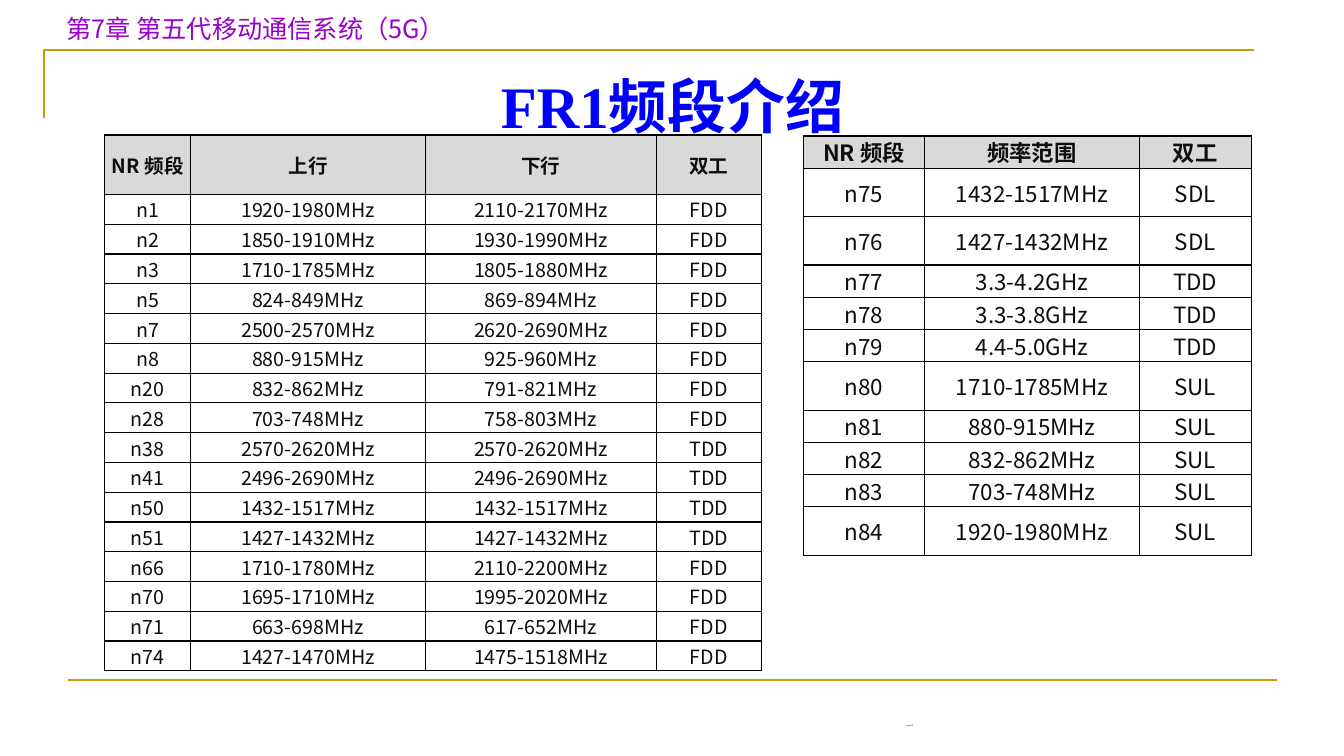
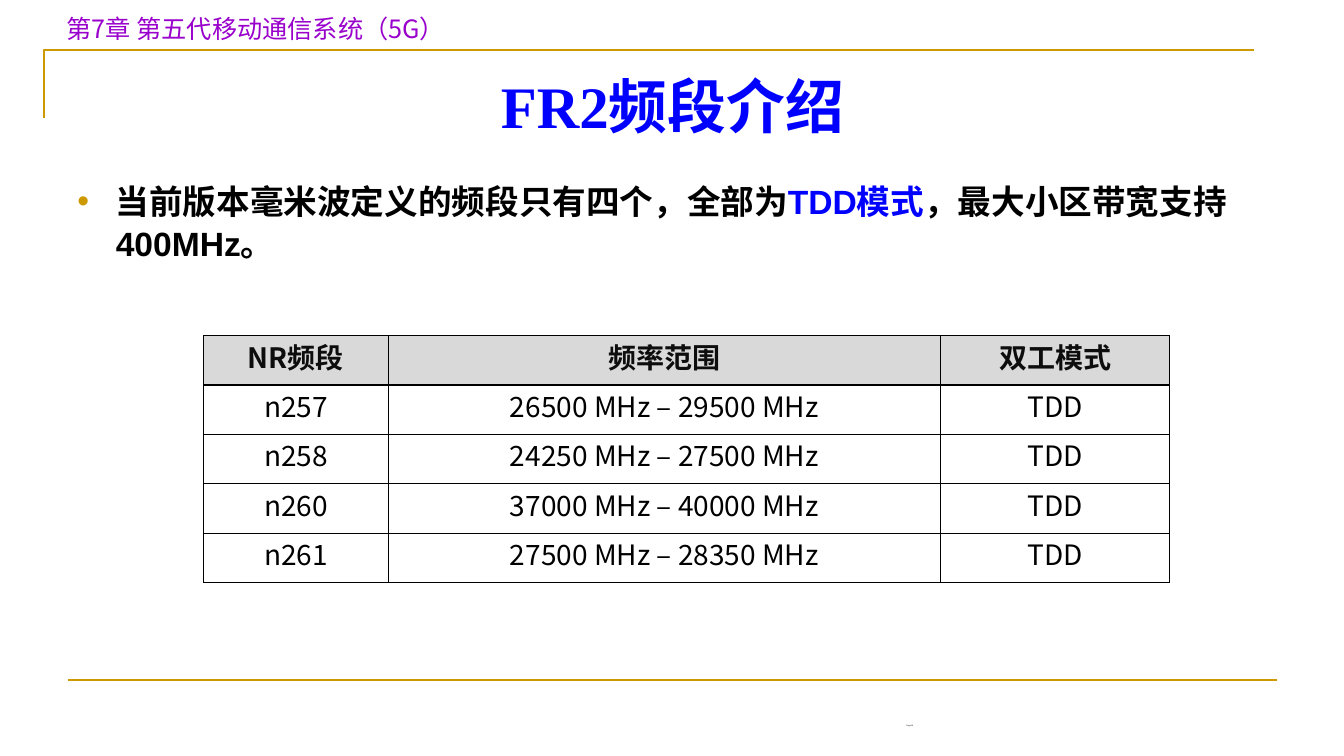
from dataclasses import dataclass

from lxml.etree import SubElement
from pptx import Presentation
from pptx.dml.color import RGBColor
from pptx.enum.shapes import MSO_CONNECTOR as Connector
from pptx.enum.text import MSO_ANCHOR as Anchor, PP_ALIGN as Align
from pptx.oxml import parse_xml
from pptx.oxml.ns import nsdecls, qn
from pptx.util import Inches, Pt

# Content
CHAPTER = "第7章 第五代移动通信系统（5G）"

PAIRED_BANDS = [
    ("NR 频段", "上行", "下行", "双工"),
    ("n1", "1920-1980MHz", "2110-2170MHz", "FDD"),
    ("n2", "1850-1910MHz", "1930-1990MHz", "FDD"),
    ("n3", "1710-1785MHz", "1805-1880MHz", "FDD"),
    ("n5", "824-849MHz", "869-894MHz", "FDD"),
    ("n7", "2500-2570MHz", "2620-2690MHz", "FDD"),
    ("n8", "880-915MHz", "925-960MHz", "FDD"),
    ("n20", "832-862MHz", "791-821MHz", "FDD"),
    ("n28", "703-748MHz", "758-803MHz", "FDD"),
    ("n38", "2570-2620MHz", "2570-2620MHz", "TDD"),
    ("n41", "2496-2690MHz", "2496-2690MHz", "TDD"),
    ("n50", "1432-1517MHz", "1432-1517MHz", "TDD"),
    ("n51", "1427-1432MHz", "1427-1432MHz", "TDD"),
    ("n66", "1710-1780MHz", "2110-2200MHz", "FDD"),
    ("n70", "1695-1710MHz", "1995-2020MHz", "FDD"),
    ("n71", "663-698MHz", "617-652MHz", "FDD"),
    ("n74", "1427-1470MHz", "1475-1518MHz", "FDD"),
]

SINGLE_BANDS = [
    ("NR 频段", "频率范围", "双工"),
    ("n75", "1432-1517MHz", "SDL"),
    ("n76", "1427-1432MHz", "SDL"),
    ("n77", "3.3-4.2GHz", "TDD"),
    ("n78", "3.3-3.8GHz", "TDD"),
    ("n79", "4.4-5.0GHz", "TDD"),
    ("n80", "1710-1785MHz", "SUL"),
    ("n81", "880-915MHz", "SUL"),
    ("n82", "832-862MHz", "SUL"),
    ("n83", "703-748MHz", "SUL"),
    ("n84", "1920-1980MHz", "SUL"),
]
TALL_BANDS = {"n75", "n76", "n80", "n84"}

MILLIMETRE_BANDS = [
    ("NR频段", "频率范围", "双工模式"),
    ("n257", "26500 MHz – 29500 MHz", "TDD"),
    ("n258", "24250 MHz – 27500 MHz", "TDD"),
    ("n260", "37000 MHz – 40000 MHz", "TDD"),
    ("n261", "27500 MHz – 28350 MHz", "TDD"),
]


@dataclass(frozen=True)
class Theme:
    gold: str = "CC9900"
    purple: str = "9900CC"
    blue: str = "0000FF"
    black: str = "000000"
    ink: str = "0D0D0D"
    grey: str = "D9D9D9"
    white: str = "FFFFFF"
    heading_font: str = "Times New Roman"
    body_font: str = "Arial"
    table_font: str = "Noto Sans CJK SC"
    chapter_font: str = "Noto Sans CJK JP"
    title_size: float = 42
    body_size: float = 24
    chapter_size: float = 18
    page_size: float = 1.4
    rule_width: float = 1.5
    border_width: float = 1


THEME = Theme()
STATEMENT = [
    ("当前版本毫米波定义的频段只有四个，全部为", THEME.black),
    ("TDD模式", THEME.blue),
    ("，最大小区带宽支持400MHz。", THEME.black),
]


# Text and lines
def write_text(frame, runs, *, font, size, color=THEME.black, bold=False,
               align=Align.LEFT, anchor=Anchor.TOP, east_asian=None):
    """Write a string, or (text, colour) pairs, as one paragraph."""
    frame.word_wrap = True
    frame.vertical_anchor = anchor
    paragraph = frame.paragraphs[0]
    paragraph.alignment = align
    for text, run_color in [(runs, color)] if isinstance(runs, str) else runs:
        run = paragraph.add_run()
        run.text = text
        run.font.name = font
        run.font.size = Pt(size)
        run.font.bold = bold
        run.font.color.rgb = RGBColor.from_string(run_color)
        SubElement(run.font._element, qn("a:ea"), typeface=east_asian or font)
    return paragraph


def add_text(slide, box, runs, **text_format):
    shape = slide.shapes.add_textbox(*map(Inches, box))
    return write_text(shape.text_frame, runs, **text_format)


def style_rule(line):
    line.color.rgb = RGBColor.from_string(THEME.gold)
    line.width = Pt(THEME.rule_width)


# Tables
def style_cell(cell, fill, inset):
    cell.margin_left = cell.margin_right = Inches(inset)
    cell.margin_top = cell.margin_bottom = 0
    if fill:
        cell.fill.solid()
        cell.fill.fore_color.rgb = RGBColor.from_string(fill)
    else:
        cell.fill.background()
    properties = cell._tc.get_or_add_tcPr()
    for index, side in enumerate("LRTB"):
        properties.insert(index, parse_xml(
            f'<a:ln{side} {nsdecls("a")} w="{Pt(THEME.border_width)}"><a:solidFill>'
            f'<a:srgbClr val="{THEME.black}"/></a:solidFill></a:ln{side}>'))


def add_band_table(slide, position, rows, widths, heights, *, size, inset=0.02,
                   anchor=Anchor.MIDDLE, color=THEME.ink, fill=None):
    extent = (sum(widths), sum(heights))
    frame = slide.shapes.add_table(len(rows), len(widths),
                                   *map(Inches, position + extent))
    table = frame.table
    table.first_row = table.horz_banding = False
    for column, width in zip(table.columns, widths):
        column.width = Inches(width)
    for row_index, (row, height) in enumerate(zip(rows, heights)):
        table.rows[row_index].height = Inches(height)
        header = row_index == 0
        for column_index, text in enumerate(row):
            cell = table.cell(row_index, column_index)
            style_cell(cell, THEME.grey if header else fill, inset)
            write_text(cell.text_frame, text, font=THEME.table_font, size=size,
                       color=THEME.ink if header else color, bold=header,
                       align=Align.CENTER)
            cell.vertical_anchor = anchor


# Shared slide frame
def add_framed_slide(presentation, title, page):
    slide = presentation.slides.add_slide(presentation.slide_layouts[6])
    builder = slide.shapes.build_freeform(Inches(0.44), Inches(1.17))
    builder.add_line_segments([(Inches(0.44), Inches(0.5)),
                               (Inches(12.44), Inches(0.5))], close=False)
    corner = builder.convert_to_shape()
    corner.shadow.inherit = False
    corner.fill.background()
    style_rule(corner.line)

    footer_rule = slide.shapes.add_connector(
        Connector.STRAIGHT, *map(Inches, (0.67, 6.75, 12.67, 6.75)))
    style_rule(footer_rule.line)
    SubElement(footer_rule._element.spPr, qn("a:effectLst"))

    add_text(slide, (0.56, 0.08, 5.78, 0.4), CHAPTER, font=THEME.chapter_font,
             size=THEME.chapter_size, color=THEME.purple, anchor=Anchor.MIDDLE)
    add_text(slide, (0.67, 0.6, 12, 0.88), title, font=THEME.heading_font,
             east_asian=THEME.table_font, size=THEME.title_size,
             color=THEME.blue, bold=True, align=Align.CENTER,
             anchor=Anchor.MIDDLE)
    add_text(slide, (8.89, 7.14, 2.22, 0.36), f"Page{page}",
             font=THEME.body_font, size=THEME.page_size)
    return slide


# Slides
def build_fr1(presentation):
    slide = add_framed_slide(presentation, "FR1频段介绍", 15)
    header_height, table_height = 0.59, 5.32
    body_count = len(PAIRED_BANDS) - 1
    body_height = (table_height - header_height) / body_count
    add_band_table(slide, (1.04, 1.34), PAIRED_BANDS, (0.85, 2.33, 2.29, 1.04),
                   [header_height] + [body_height] * body_count, size=14)
    heights = [0.48 if row[0] in TALL_BANDS else 0.32 for row in SINGLE_BANDS]
    add_band_table(slide, (7.97, 1.35), SINGLE_BANDS, (1.2, 2.13, 1.11),
                   heights, size=16)


def build_fr2(presentation):
    slide = add_framed_slide(presentation, "FR2频段介绍", 16)
    paragraph = add_text(slide, (0.67, 1.73, 12, 4.95), STATEMENT,
                         font=THEME.body_font, size=THEME.body_size, bold=True)
    paragraph.line_spacing = 1.04
    properties = paragraph._p.get_or_add_pPr()
    properties.set("marL", str(Inches(0.38)))
    properties.set("indent", str(-Inches(0.38)))
    bullet_color = SubElement(properties, qn("a:buClr"))
    SubElement(bullet_color, qn("a:srgbClr"), val=THEME.gold)
    SubElement(properties, qn("a:buFont"), typeface=THEME.body_font)
    SubElement(properties, qn("a:buChar"), char="•")
    add_band_table(slide, (2.02, 3.33), MILLIMETRE_BANDS, (1.83, 5.48, 2.27),
                   [0.49] * len(MILLIMETRE_BANDS), size=20, inset=0.07,
                   anchor=Anchor.TOP, color=THEME.black, fill=THEME.white)


def main():
    presentation = Presentation()
    presentation.slide_width = Inches(13.33)
    presentation.slide_height = Inches(7.5)
    build_fr1(presentation)
    build_fr2(presentation)
    presentation.save("out.pptx")


if __name__ == "__main__":
    main()
